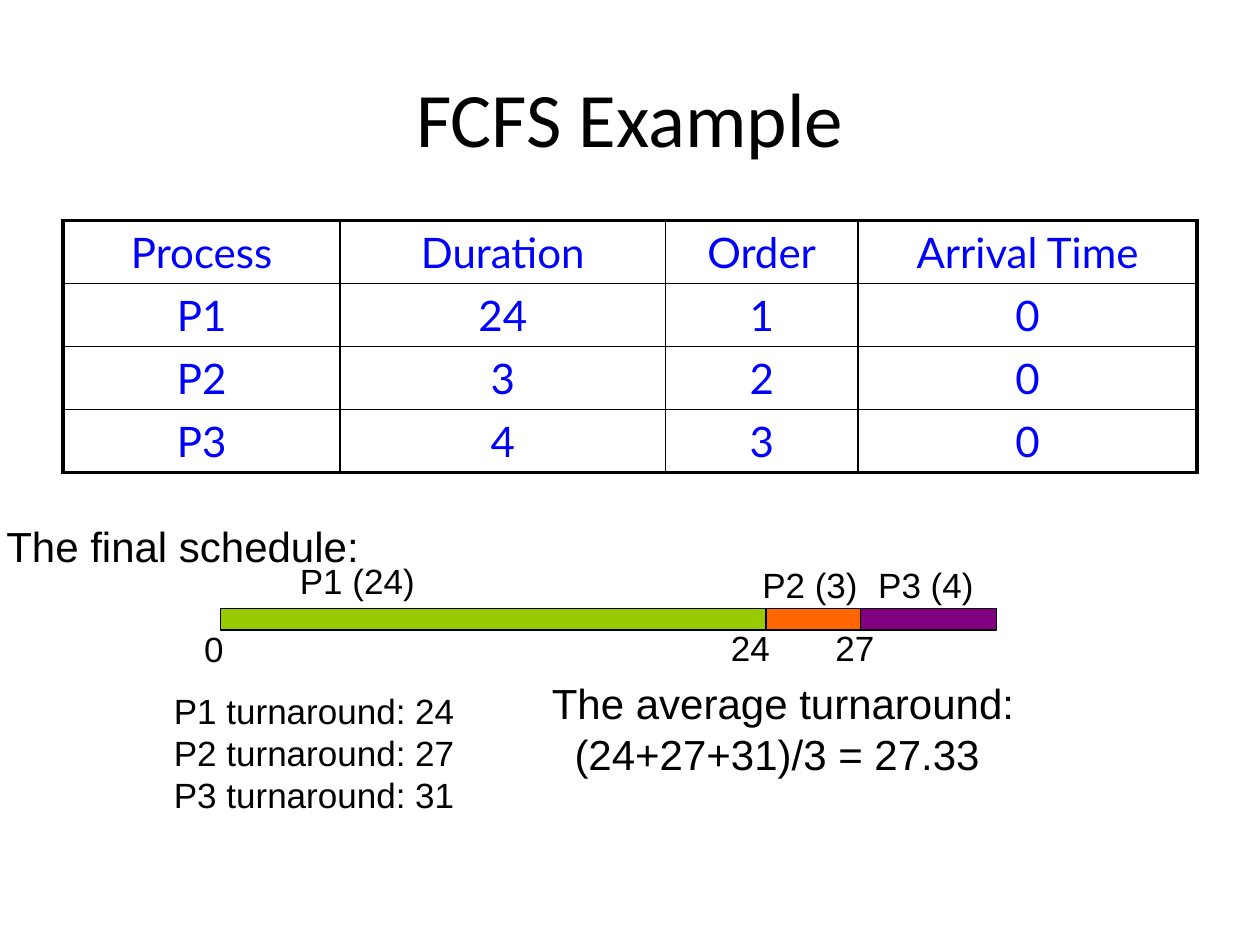
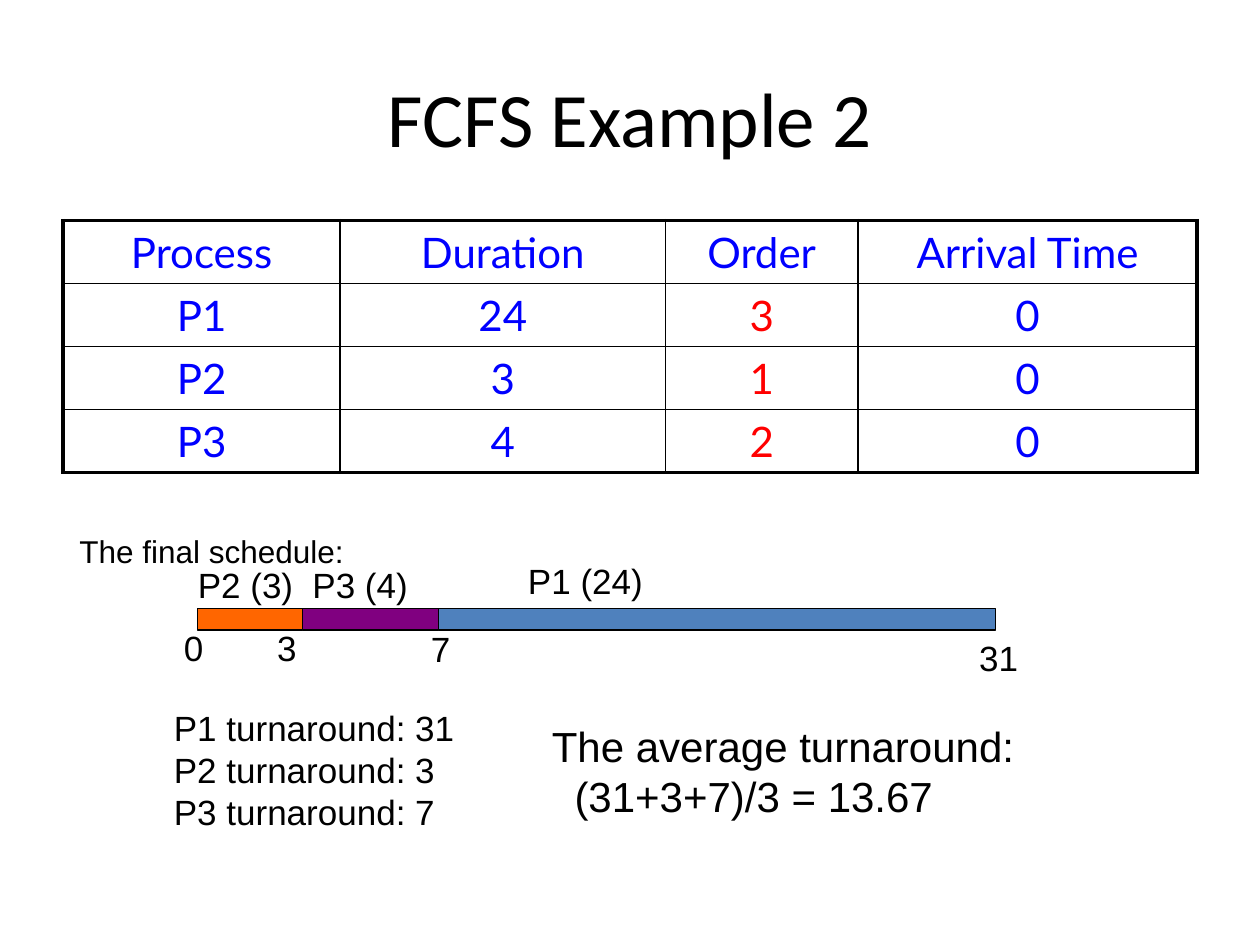
from dataclasses import dataclass

from lxml import etree
from pptx import Presentation
from pptx import util as u
from pptx.dml.color import RGBColor
from pptx.enum import shapes, text
from pptx.oxml.ns import qn

EMU_PER_PX = 9144
BLACK, BLUE, RED = "000000", "0000FF", "FF0000"
LIME, STEEL, ORANGE, PURPLE = "99CC00", "4F81BD", "FF6600", "800080"
INSET = 5
COLUMN_WIDTHS = (220, 258, 153, 269)
HEADINGS = ("Process", "Duration", "Order", "Arrival Time")
DURATIONS = {"P1": 24, "P2": 3, "P3": 4}
ORDER_COLUMN = HEADINGS.index("Order")
BAR_TOP, BAR_HEIGHT = 483, 17
BAR_WIDTHS = {"P1": 442, "P2": 83, "P3": 108}
LABEL_WIDTHS = {"P1": 102, "P2": 87, "P3": 87}
LABEL_TOPS = {"P1": 439, "P2": 442, "P3": 442}


@dataclass(frozen=True)
class Block:
    lines: tuple[str, ...]
    left: int
    top: int
    width: int
    height: int
    size: int
    later_indent: int = 0


@dataclass(frozen=True)
class Burst:
    process: str
    left: int
    label_left: int
    color: str


@dataclass(frozen=True)
class Tick:
    time: int
    left: int
    top: int


@dataclass(frozen=True)
class Example:
    title: str
    orders: tuple[int, ...]
    order_color: str
    caption: Block
    bursts: tuple[Burst, ...]
    ticks: tuple[Tick, ...]
    turnarounds: tuple[int, ...]
    turnaround_top: int
    average: str
    average_top: int


EXAMPLES = (
    Example(
        "FCFS Example", (1, 2, 3), BLUE,
        Block(("The final schedule:",), 0, 408, 291, 48, 24),
        (Burst("P1", 175, 233, LIME),
         Burst("P2", 608, 600, ORANGE),
         Burst("P3", 683, 692, PURPLE)),
        (Tick(0, 157, 493), Tick(24, 575, 492), Tick(27, 658, 492)),
        (24, 27, 31), 542, "(24+27+31)/3 = 27.33", 533,
    ),
    Example(
        "FCFS Example 2", (3, 1, 2), RED,
        Block(("The final schedule:",), 58, 417, 221, 38, 18),
        (Burst("P1", 348, 414, STEEL),
         Burst("P2", 157, 152, ORANGE),
         Burst("P3", 240, 243, PURPLE)),
        (Tick(0, 141, 492), Tick(3, 215, 492),
         Tick(7, 337, 493), Tick(31, 772, 500)),
        (31, 3, 7), 556, "(31+3+7)/3 = 13.67", 567,
    ),
)


def px(length: int) -> u.Emu:
    return u.Emu(length * EMU_PER_PX)


def rgb(color: str) -> RGBColor:
    return RGBColor.from_string(color)


def style_runs(paragraph, font_name: str, size: int, color: str) -> None:
    for run in paragraph.runs:
        run.font.name = font_name
        run.font.size = u.Pt(size)
        run.font.color.rgb = rgb(color)


def set_margins(holder) -> None:
    holder.margin_left = holder.margin_right = px(INSET)
    holder.margin_top = holder.margin_bottom = px(INSET)


def add_title(slide, title: str) -> None:
    frame = slide.shapes.add_textbox(px(50), px(30), px(900), px(125)).text_frame
    set_margins(frame)
    frame.word_wrap = True
    frame.vertical_anchor = text.MSO_ANCHOR.MIDDLE
    frame.text = title
    frame.paragraphs[0].alignment = text.PP_ALIGN.CENTER
    style_runs(frame.paragraphs[0], "Calibri", 44, BLACK)


def add_block(slide, block: Block) -> None:
    frame = slide.shapes.add_textbox(
        px(block.left), px(block.top), px(block.width), px(block.height)
    ).text_frame
    set_margins(frame)
    frame.word_wrap = False
    frame.auto_size = text.MSO_AUTO_SIZE.SHAPE_TO_FIT_TEXT
    frame.text = "\n".join(block.lines)
    for index, paragraph in enumerate(frame.paragraphs):
        style_runs(paragraph, "Arial", block.size, BLACK)
        if index and block.later_indent:
            properties = paragraph._p.get_or_add_pPr()
            properties.set("marL", str(px(block.later_indent)))
            properties.set("indent", "0")


def add_border(cell, side: str, points: float) -> None:
    line = etree.SubElement(
        cell._tc.get_or_add_tcPr(), qn(f"a:ln{side}"), w=str(u.Pt(points))
    )
    fill = etree.SubElement(line, qn("a:solidFill"))
    etree.SubElement(fill, qn("a:srgbClr"), val=BLACK)


def add_process_table(slide, example: Example) -> None:
    rows = [HEADINGS] + [
        (process, duration, order, 0)
        for (process, duration), order in zip(DURATIONS.items(), example.orders)
    ]
    table = slide.shapes.add_table(
        len(rows), len(HEADINGS), px(50), px(175), px(900), px(200)
    ).table
    table.first_row = table.horz_banding = False
    for column, width in zip(table.columns, COLUMN_WIDTHS):
        column.width = px(width)
    for r, values in enumerate(rows):
        for c, value in enumerate(values):
            cell = table.cell(r, c)
            set_margins(cell)
            cell.text = str(value)
            paragraph = cell.text_frame.paragraphs[0]
            paragraph.alignment = text.PP_ALIGN.CENTER
            paragraph.space_before = u.Pt(5)
            marked = r > 0 and c == ORDER_COLUMN
            style_runs(paragraph, "Lato", 24, example.order_color if marked else BLUE)
            outer = {"L": c == 0, "R": c == len(HEADINGS) - 1,
                     "T": r == 0, "B": r == len(rows) - 1}
            for side, on_edge in outer.items():
                add_border(cell, side, 2.25 if on_edge else 1)
            cell.fill.background()


def add_burst(slide, burst: Burst) -> None:
    bar = slide.shapes.add_shape(
        shapes.MSO_SHAPE.RECTANGLE, px(burst.left), px(BAR_TOP),
        px(BAR_WIDTHS[burst.process]), px(BAR_HEIGHT)
    )
    bar.shadow.inherit = False
    bar.fill.solid()
    bar.fill.fore_color.rgb = rgb(burst.color)
    bar.line.color.rgb = rgb(BLACK)
    bar.line.width = u.Pt(0.75)
    label = f"{burst.process} ({DURATIONS[burst.process]})"
    add_block(slide, Block((label,), burst.label_left, LABEL_TOPS[burst.process],
                           LABEL_WIDTHS[burst.process], 41, 20))


def add_tick(slide, tick: Tick) -> None:
    width = 27 if tick.time < 10 else 42
    add_block(slide, Block((str(tick.time),), tick.left, tick.top, width, 41, 20))


def add_example(deck, example: Example) -> None:
    slide = deck.slides.add_slide(deck.slide_layouts[6])
    add_title(slide, example.title)
    add_process_table(slide, example)
    add_block(slide, example.caption)
    for burst in example.bursts:
        add_burst(slide, burst)
    for tick in example.ticks:
        add_tick(slide, tick)
    turnarounds = tuple(
        f"{process} turnaround: {time}"
        for process, time in zip(DURATIONS, example.turnarounds)
    )
    add_block(slide, Block(turnarounds, 133, example.turnaround_top, 245, 105, 20))
    average = ("The average turnaround:", example.average)
    add_block(slide, Block(average, 433, example.average_top, 388, 87, 24, 18))


def main() -> None:
    deck = Presentation()
    deck.slide_width, deck.slide_height = px(1000), px(750)
    for example in EXAMPLES:
        add_example(deck, example)
    deck.save("out.pptx")


if __name__ == "__main__":
    main()
